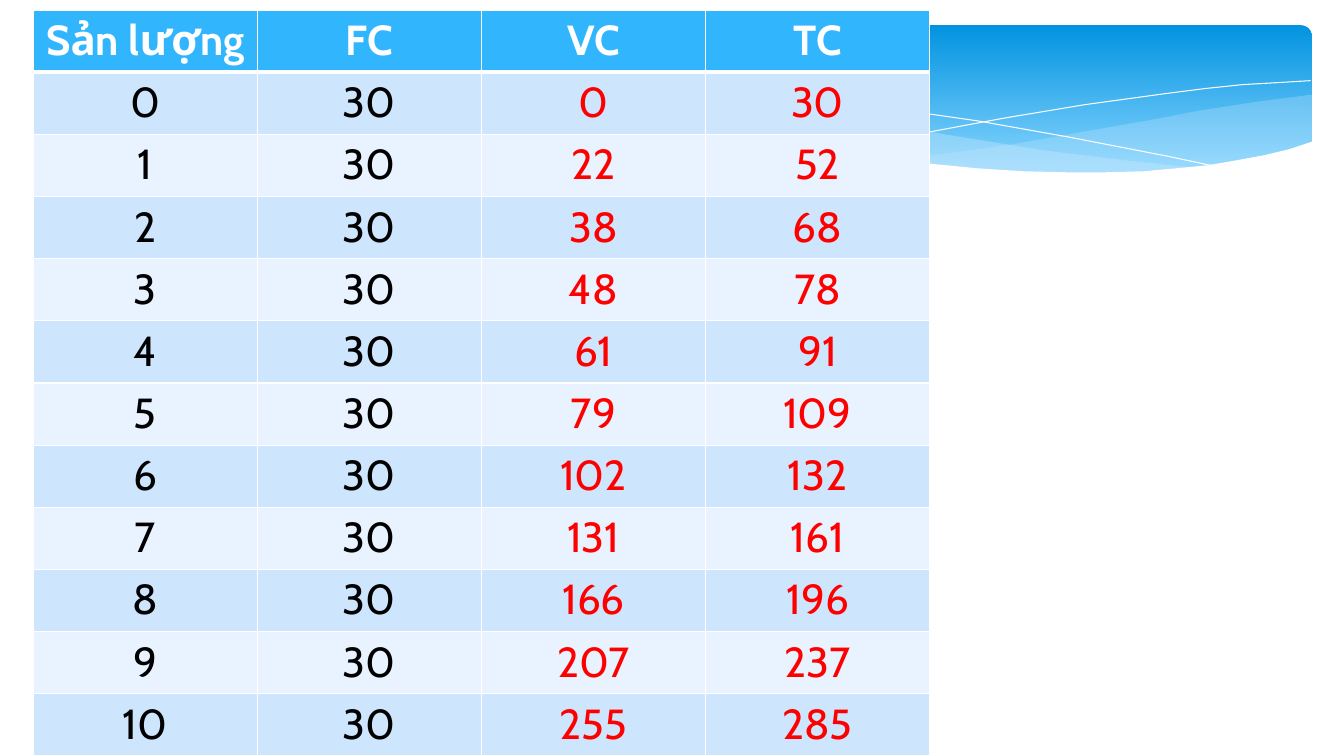
from lxml import etree
from pptx import Presentation, util as u
from pptx.dml.color import RGBColor
from pptx.enum import shapes, text
from pptx.oxml import ns

COLORS = {"white": "FFFFFF", "black": "000000", "red": "FF0000",
          "head": "31B6FD", "odd": "CEE5FE", "even": "E8F3FF",
          "deep": "0293E0", "sky": "83D3FE", "mist": "C6E7FC"}
HEADS = ["Sản lượng", "FC", "VC", "TC"]
FIXED = 30
COSTS = [0, 22, 38, 48, 61, 79, 102, 131, 166, 207, 255]

RIGHT = [(13, .94), (12.46, 1.01), (11.88, 1.1), (11.47, 1.18), (10.73, 1.31),
         (10.05, 1.43), (9.41, 1.52), (8.82, 1.6), (9.4, 1.65), (9.93, 1.69),
         (10.41, 1.72), (10.99, 1.72), (11.51, 1.7), (11.96, 1.65),
         (12.47, 1.56), (12.84, 1.47), (13.01, 1.42), (13.01, .94)]
LEFT = [(11.9, 1.67), (11.16, 1.59), (10.34, 1.49), (9.41, 1.34), (8.39, 1.16),
        (7.59, 1.02), (6.86, .92), (6.19, .86), (5.6, .82), (4.82, .8),
        (4.37, .81), (3.82, .86), (4.56, .94), (5.39, 1.06), (5.99, 1.16),
        (7.06, 1.35), (8.02, 1.5), (8.87, 1.61), (9.63, 1.68), (10.3, 1.72),
        (10.9, 1.73), (11.43, 1.71)]
FALL = [(4.12, .9), (4.38, .86), (4.84, .83), (5.55, .81), (6.25, .83),
        (7.1, .88), (8.11, .98), (8.86, 1.08), (9.7, 1.2), (10.6, 1.36),
        (11.58, 1.55), (12.1, 1.66)]
RISE = [(8.18, 1.51), (8.7, 1.41), (9.27, 1.3), (9.97, 1.17), (10.75, 1.04),
        (11.55, .93), (11.94, .88), (12.32, .84), (12.67, .82), (13, .8)]
COVER = [(13.03, 1.4), (12.79, 1.48), (12.54, 1.54), (12.27, 1.59),
         (11.98, 1.64), (11.67, 1.67), (11.34, 1.7), (10.97, 1.71),
         (10.58, 1.71), (10.15, 1.7), (9.69, 1.67), (9.18, 1.62), (8.63, 1.56),
         (8.04, 1.49), (7.4, 1.39), (6.71, 1.28), (5.96, 1.14), (5.21, 1.02),
         (4.53, .92), (3.9, .85), (3.33, .81), (2.58, .78), (1.94, .79),
         (1.42, .83), (1.01, .89), (.69, .96), (.48, 1.02), (.31, 1.07),
         (.31, 2.24), (13.03, 2.24)]


def rgb(name):
    return RGBColor.from_string(COLORS[name])


def paint(fill, name, alpha=None):
    fill.solid()
    fill.fore_color.rgb = rgb(name)
    if alpha:
        color = fill._xPr.find(".//" + ns.qn("a:srgbClr"))
        etree.SubElement(color, ns.qn("a:alpha"), val=str(alpha * 1000))


def add_band(slide):
    box = [u.Inches(n) for n in (.33, .25, 12.68, 1.56)]
    band = slide.shapes.add_shape(shapes.MSO_SHAPE.ROUNDED_RECTANGLE, *box)
    band.adjustments[0] = .07
    band.shadow.inherit = False
    band.line.fill.background()
    band.fill.gradient()
    band.fill.gradient_angle = 270
    for stop, name, place in zip(band.fill.gradient_stops, ("deep", "sky"), (0, .9)):
        stop.color.rgb = rgb(name)
        stop.position = place


def add_free(group, points, name=None, alpha=None):
    points = [(u.Inches(x), u.Inches(y)) for x, y in points]
    pen = group.shapes.build_freeform(*points[0])
    pen.add_line_segments(points[1:], close=bool(name))
    free = pen.convert_to_shape()
    free.shadow.inherit = False
    if name:
        paint(free.fill, name, alpha)
        free.line.fill.background()
    else:
        free.fill.background()
        paint(free.line.fill, "white")
        free.line.width = u.Pt(0)


def add_edges(cell, top, bottom):
    props = cell._tc.get_or_add_tcPr()
    sides = {"lnL": 1, "lnR": 1, "lnT": top, "lnB": bottom}
    for spot, (side, width) in enumerate(sides.items()):
        edge = etree.Element(ns.qn("a:" + side), w=str(u.Pt(width)))
        fill = etree.SubElement(edge, ns.qn("a:solidFill"))
        etree.SubElement(fill, ns.qn("a:srgbClr"), val=COLORS["white"])
        props.insert(spot, edge)


def set_cell(cell, value, back, ink, bold):
    cell.text = str(value)
    paint(cell.fill, back)
    para = cell.text_frame.paragraphs[0]
    para.alignment = text.PP_ALIGN.CENTER
    font = para.runs[0].font
    for key, item in {"name": "Cabin", "size": u.Pt(30), "bold": bold}.items():
        setattr(font, key, item)
    font.color.rgb = rgb(ink)


def add_costs(slide):
    rows = [HEADS] + [[n, FIXED, cost, FIXED + cost] for n, cost in enumerate(COSTS)]
    box = [u.Inches(n) for n in (.33, .1, 8.89, 7.4)]
    table = slide.shapes.add_table(len(rows), len(HEADS), *box).table
    for r, row in enumerate(rows):
        back = "head" if r == 0 else "odd" if r % 2 else "even"
        for c, value in enumerate(row):
            ink = "white" if r == 0 else "black" if c < 2 else "red"
            cell = table.cell(r, c)
            set_cell(cell, value, back, ink, r == 0)
            add_edges(cell, 3 if r == 1 else 1, 3 if r == 0 else 1)


def main():
    deck = Presentation()
    deck.slide_width, deck.slide_height = u.Inches(13.33), u.Inches(7.5)
    slide = deck.slides.add_slide(deck.slide_layouts[6])
    add_band(slide)
    waves = slide.shapes.add_group_shape()
    add_free(waves, RIGHT, "mist", 29)
    add_free(waves, LEFT, "mist", 40)
    add_free(waves, FALL)
    add_free(waves, RISE)
    add_free(waves, COVER, "white")
    add_costs(slide)
    deck.save("out.pptx")


main()
